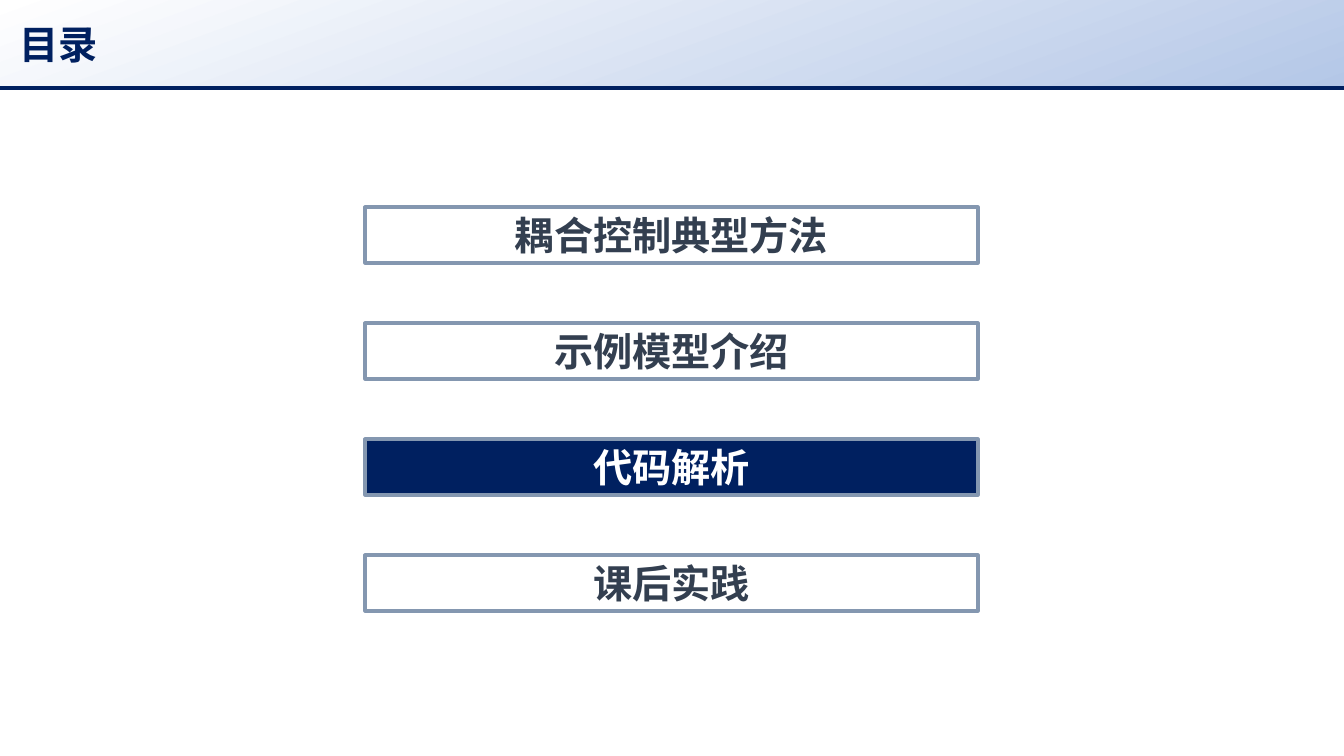
from lxml import etree
from pptx import Presentation
from pptx import util as u
from pptx.dml.color import RGBColor
from pptx.enum import shapes, text
from pptx.oxml.ns import qn

PX = 914400 / 100.8
NAVY, SLATE, WHITE = "002060", "333F50", "FFFFFF"
PALE_BLUE, BORDER = "B4C7E7", "8497B0"


def px(length):
    return u.Emu(round(length * PX))


def rgb(value):
    return RGBColor.from_string(value)


class AgendaSlide:
    """Draws agenda elements on one slide in a shared style."""

    font_name = "Noto Sans CJK SC"
    font_size = u.Pt(28)
    line_width = u.Pt(2.25)

    def __init__(self, slide):
        self.shapes = slide.shapes

    def box(self, left, top, width, height):
        box = self.shapes.add_shape(
            shapes.MSO_SHAPE.RECTANGLE, px(left), px(top), px(width), px(height))
        box.shadow.inherit = False
        return box

    def label(self, box, words, color, align, inset):
        frame = box.text_frame
        frame.word_wrap = True
        frame.vertical_anchor = text.MSO_ANCHOR.MIDDLE
        frame.margin_left = frame.margin_right = px(inset)
        frame.margin_top = frame.margin_bottom = px(4)
        line = frame.paragraphs[0]
        line.text = words
        line.alignment = align
        font = line.font
        font.name, font.size, font.bold = self.font_name, self.font_size, True
        font.color.rgb = rgb(color)
        defaults = line._p.pPr.find(qn("a:defRPr"))
        etree.SubElement(defaults, qn("a:ea"), typeface=self.font_name)

    def header(self, words, width, height):
        band = self.box(0, 0, width, height)
        band.line.fill.background()
        band.fill.gradient()
        band.fill.gradient_angle = 290
        for stop, color, position in zip(
                band.fill.gradient_stops, (WHITE, PALE_BLUE), (0, 1)):
            stop.color.rgb = rgb(color)
            stop.position = position
        self.label(band, words, NAVY, text.PP_ALIGN.LEFT, 19)

    def rule(self, top, width):
        rule = self.shapes.add_connector(
            shapes.MSO_CONNECTOR.STRAIGHT, 0, px(top), px(width), px(top))
        rule.line.color.rgb = rgb(NAVY)
        rule.line.width = self.line_width
        etree.SubElement(rule._element.spPr, qn("a:effectLst"))

    def topic(self, words, top, current):
        topic = self.box(365, top, 613, 56)
        topic.fill.solid()
        topic.fill.fore_color.rgb = rgb(NAVY if current else WHITE)
        topic.line.color.rgb = rgb(BORDER)
        topic.line.width = self.line_width
        self.label(topic, words, WHITE if current else SLATE,
                   text.PP_ALIGN.CENTER, 9)


def main():
    deck = Presentation()
    deck.slide_width, deck.slide_height = px(1344), px(756)
    agenda = AgendaSlide(deck.slides.add_slide(deck.slide_layouts[6]))
    agenda.header("目录", 1344, 88)
    agenda.rule(88, 1344)
    topics = ("耦合控制典型方法", "示例模型介绍", "代码解析", "课后实践")
    for row, words in enumerate(topics):
        agenda.topic(words, 207 + 116 * row, words == "代码解析")
    deck.save("out.pptx")


if __name__ == "__main__":
    main()
